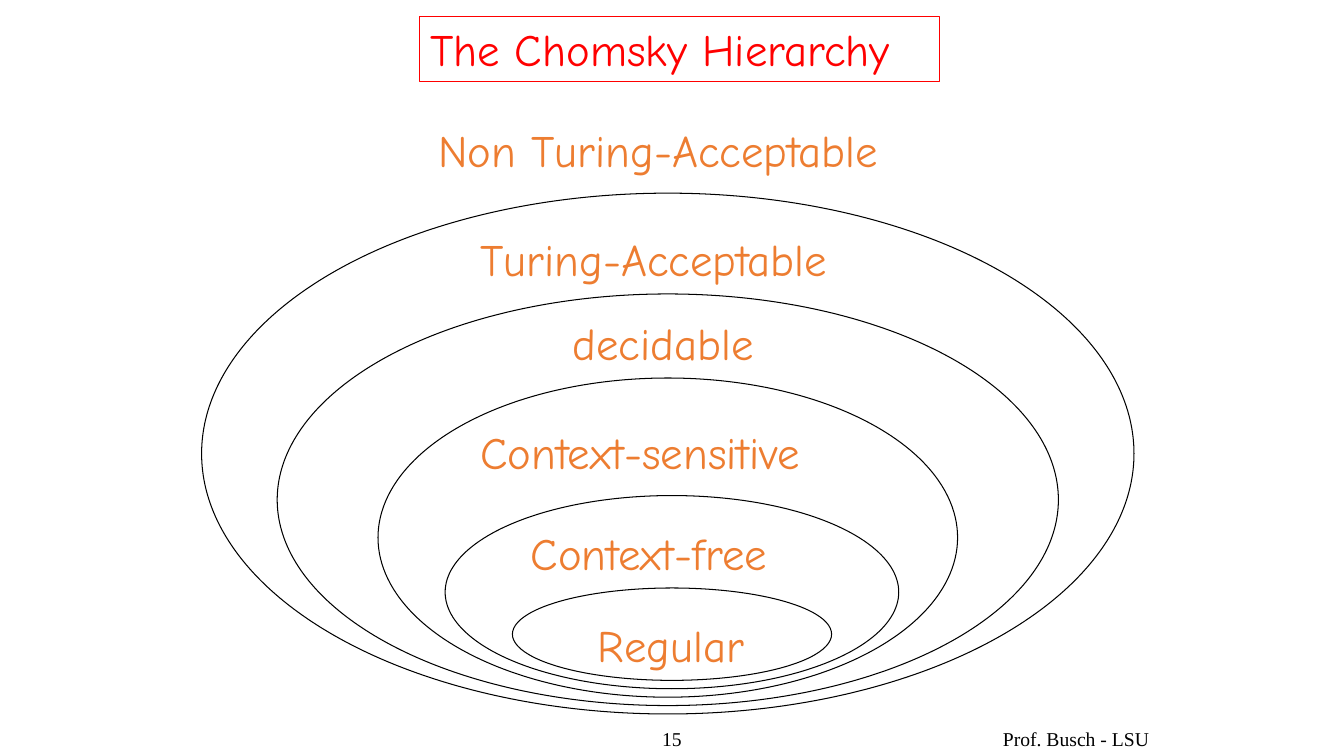
import pptx
import pptx.util
import pptx.dml.color
import pptx.enum.shapes
import pptx.enum.text

Pt = pptx.util.Pt
RGB = pptx.dml.color.RGBColor
ALIGN = pptx.enum.text.PP_ALIGN

theme = {
    "title": {"font": "Comic Neue", "size": 32, "color": RGB(0xFF, 0x00, 0x00)},
    "label": {"font": "Comic Neue", "size": 32, "color": RGB(0xED, 0x7D, 0x31)},
    "footer": {"font": "Times New Roman", "size": 14, "color": RGB(0x00, 0x00, 0x00)},
    "outline": {"width": 0.75, "color": RGB(0x00, 0x00, 0x00)},
}


def set_text(sp, text, style, align=ALIGN.LEFT):
    tf = sp.text_frame
    tf.text = text
    tf.word_wrap = True
    tf.auto_size = pptx.enum.text.MSO_AUTO_SIZE.NONE
    tf.vertical_anchor = pptx.enum.text.MSO_ANCHOR.TOP
    p = tf.paragraphs[0]
    p.alignment = align
    font = p.runs[0].font
    font.name = theme[style]["font"]
    font.size = Pt(theme[style]["size"])
    font.color.rgb = theme[style]["color"]


def add_text(left, top, width, height, text, style, align=ALIGN.LEFT):
    sp = s.shapes.add_textbox(Pt(left), Pt(top), Pt(width), Pt(height))
    set_text(sp, text, style, align)


prs = pptx.Presentation()
prs.slide_width, prs.slide_height = Pt(960), Pt(540)
s = prs.slides.add_slide(prs.slide_layouts[5])

title = s.shapes.title
title.left, title.top, title.width, title.height = Pt(300), Pt(12), Pt(371), Pt(46)
set_text(title, "The Chomsky Hierarchy", "title")
title.line.color.rgb = theme["title"]["color"]
title.line.width = Pt(theme["outline"]["width"])

outer_bottom, bottom_step = 510, 6
ellipses = [(144, 138, 666), (198, 210, 558), (270, 270, 414), (318, 354, 324), (366, 420, 228)]
for i, (left, top, width) in enumerate(ellipses):
    height = outer_bottom - i * bottom_step - top
    sp = s.shapes.add_shape(
        pptx.enum.shapes.MSO_SHAPE.OVAL, Pt(left), Pt(top), Pt(width), Pt(height)
    )
    sp.shadow.inherit = False
    sp.fill.background()
    sp.line.color.rgb = theme["outline"]["color"]
    sp.line.width = Pt(theme["outline"]["width"])

labels = [
    ("Non Turing-Acceptable", 306, 84, 361),
    ("Turing-Acceptable", 336, 162, 292),
    ("decidable", 402, 222, 157),
    ("Context-sensitive", 336, 300, 279),
    ("Context-free", 372, 372, 214),
    ("Regular", 420, 438, 126),
]
for text, left, top, width in labels:
    add_text(left, top, width, 45, text, "label")

add_text(366, 516, 228, 24, "15", "footer", ALIGN.CENTER)
add_text(678, 516, 150, 24, "Prof. Busch - LSU", "footer", ALIGN.RIGHT)

prs.save("out.pptx")
